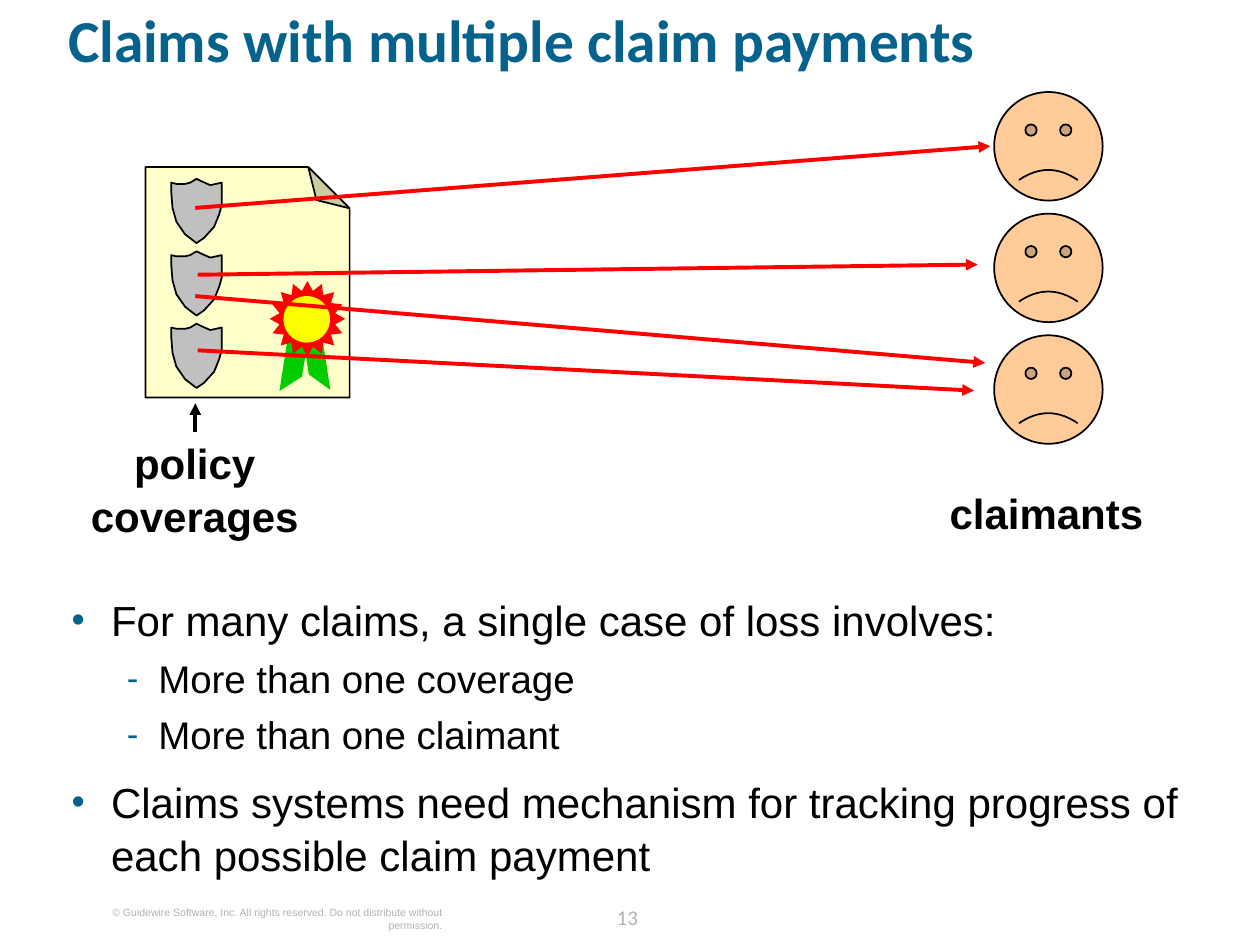
from lxml.etree import SubElement
from pptx import Presentation
from pptx.dml.color import RGBColor
from pptx.enum.shapes import MSO_CONNECTOR, MSO_SHAPE
from pptx.enum.text import PP_ALIGN
from pptx.oxml.ns import qn
from pptx.util import Pt

BLUE = RGBColor(0x04, 0x62, 0x8C)
BLACK = RGBColor(0, 0, 0)
RED = RGBColor(0xFF, 0, 0)
GREEN = RGBColor(0, 0xCC, 0)
YELLOW = RGBColor(0xFF, 0xFF, 0)
PAPER = RGBColor(0xFF, 0xFF, 0xCC)
SHIELD_GRAY = RGBColor(0xC0, 0xC0, 0xC0)
SKIN = RGBColor(0xFF, 0xCC, 0x99)
FOOTER_GRAY = RGBColor(0xB2, 0xB2, 0xB2)

TITLE = "Claims with multiple claim payments"
BULLETS = [  # level, text
    (0, "For many claims, a single case of loss involves:"),
    (1, "More than one coverage"),
    (1, "More than one claimant"),
    (0, "Claims systems need mechanism for tracking progress of each possible claim payment"),
]
LEVELS = [  # character, left margin, hanging indent, size, space before
    ("•", 22.5, 22.5, 24, 9.6),
    ("-", 49.5, 18, 22, 4.4),
]
LABELS = [  # text, left, top, height
    ("policy\vcoverages", 49, 248.4, 57.6),
    ("claimants", 535.7, 277.2, 28.8),
]
COPYRIGHT = ("© Guidewire Software, Inc. All rights reserved. "
             "Do not distribute without permission.")
PAGE_NUMBER = "13"

ROWS = 3
SHIELD_LEFT, SHIELD_TOP, SHIELD_PITCH = 97.9, 102.2, 41.4
SHIELD_OUTLINE = [  # tenths of a point
    (144, 367), (79, 317), (29, 245), (7, 166), (0, 79), (0, 22),
    (29, 29), (79, 29), (108, 22), (144, 0), (173, 14), (223, 36),
    (288, 22), (288, 151), (274, 202), (245, 274), (187, 338),
]
FACE_LEFT, FACE_TOP, FACE_PITCH, FACE_SIZE = 568.1, 52.6, 69.5, 62
ARROWS = [  # start, end, colour
    ((111.6, 118.8), (565.9, 83.5), RED),
    ((113, 157), (558.7, 151.2), RED),
    ((111.6, 169.2), (563, 207.4), RED),
    ((113, 200.2), (556.6, 223.2), RED),
    ((111.6, 247), (111.6, 230.4), BLACK),
]

presentation = Presentation()
presentation.slide_width, presentation.slide_height = Pt(720), Pt(540)
slide = presentation.slides.add_slide(presentation.slide_layouts[6])
shapes = slide.shapes


def paint(shape, fill, outlined):
    shape.shadow.inherit = False
    shape.fill.solid()
    shape.fill.fore_color.rgb = fill
    if outlined:
        shape.line.color.rgb = BLACK
        shape.line.width = Pt(1)
    else:
        shape.line.fill.background()


def set_adjustment(shape, percent):
    """Set the only adjustment, also for presets that list none in python-pptx."""
    geometry = shape._element.spPr.find(qn("a:prstGeom"))
    for values in geometry.findall(qn("a:avLst")):
        geometry.remove(values)
    values = SubElement(geometry, qn("a:avLst"))
    SubElement(values, qn("a:gd"), name="adj", fmla=f"val {round(percent * 1000)}")


def add_preset(kind, box, fill, outlined=False, adjustment=None, rotation=0):
    shape = shapes.add_shape(kind, *map(Pt, box))
    paint(shape, fill, outlined)
    if adjustment is not None:
        set_adjustment(shape, adjustment)
    shape.rotation = rotation
    return shape


def add_frame(left, top, width, height):
    """Add a wrapping text box without insets and return its text frame."""
    frame = shapes.add_textbox(Pt(left), Pt(top), Pt(width), Pt(height)).text_frame
    frame.word_wrap = True
    frame.margin_left = frame.margin_top = frame.margin_right = frame.margin_bottom = 0
    return frame


def style(paragraph, size, color, name="Arial", bold=False, align=None, spacing=None):
    paragraph.alignment = align
    paragraph.line_spacing = spacing
    for run in paragraph.runs:
        run.font.name = name
        run.font.size = Pt(size)
        run.font.bold = bold
        run.font.color.rgb = color


def add_text(text, box, *args, **kwargs):
    frame = add_frame(*box)
    frame.text = text
    style(frame.paragraphs[0], *args, **kwargs)


def add_bullet(paragraph, character, margin, hanging):
    properties = paragraph._p.get_or_add_pPr()
    properties.set("marL", str(Pt(margin)))
    properties.set("indent", str(-Pt(hanging)))
    color = SubElement(properties, qn("a:buClr"))
    SubElement(color, qn("a:srgbClr"), val=str(BLUE))
    SubElement(properties, qn("a:buSzPct"), val="90000")
    SubElement(properties, qn("a:buFont"), typeface="Arial")
    SubElement(properties, qn("a:buChar"), char=character)


def add_arrow(start, end, color):
    arrow = shapes.add_connector(MSO_CONNECTOR.STRAIGHT, *map(Pt, start + end))
    arrow.line.color.rgb = color
    arrow.line.width = Pt(2.25)
    SubElement(arrow.line._get_or_add_ln(), qn("a:tailEnd"), type="triangle")
    SubElement(arrow._element.spPr, qn("a:effectLst"))


# Policy document with shields and award ribbon
add_preset(MSO_SHAPE.FOLDED_CORNER, (75.6, 103, 131.8, 116.6), PAPER, True, 20.3, 270)
for row in range(ROWS):
    builder = shapes.build_freeform(*SHIELD_OUTLINE[0], scale=Pt(0.1))
    builder.add_line_segments(SHIELD_OUTLINE[1:], close=True)
    shield = builder.convert_to_shape(Pt(SHIELD_LEFT), Pt(SHIELD_TOP + row * SHIELD_PITCH))
    paint(shield, SHIELD_GRAY, True)
left_tail = add_preset(MSO_SHAPE.PARALLELOGRAM, (148.3, 198.7, 40.3, 11.5), GREEN,
                       adjustment=88.2, rotation=278.9)
left_tail._element.spPr.find(qn("a:xfrm")).set("flipH", "1")
add_preset(MSO_SHAPE.PARALLELOGRAM, (159.8, 198, 41, 10.8), GREEN,
           adjustment=97.9, rotation=81.1)
add_preset(MSO_SHAPE.STAR_16_POINT, (154.1, 160.6, 43.2, 43.2), RED, adjustment=37.5)
add_preset(MSO_SHAPE.OVAL, (162, 169.2, 26.6, 26.6), YELLOW)

# Claimants and links
for row in range(ROWS):
    face_box = (FACE_LEFT, FACE_TOP + row * FACE_PITCH, FACE_SIZE, FACE_SIZE)
    add_preset(MSO_SHAPE.SMILEY_FACE, face_box, SKIN, True, -4.65)
for arrow_ends in ARROWS:
    add_arrow(*arrow_ends)
for text, left, top, height in LABELS:
    add_text(text, (left, top, 124.6, height), 24, BLACK, bold=True,
             align=PP_ALIGN.CENTER, spacing=1.05)

# Title, bullets and footer
add_text(TITLE, (38.9, 9.4, 655.2, 58.3), 34, BLUE, "Calibri", True, spacing=0.8)
body = add_frame(41, 338.4, 655.2, 164.9)
for index, (level, text) in enumerate(BULLETS):
    character, margin, hanging, size, space = LEVELS[level]
    paragraph = body.add_paragraph() if index else body.paragraphs[0]
    paragraph.text = text
    paragraph.level = level
    style(paragraph, size, BLACK, spacing=1.05)
    if index:
        paragraph.space_before = Pt(space)
    add_bullet(paragraph, character, margin, hanging)
add_text(COPYRIGHT, (43.9, 517.7, 208.8, 14.4), 6, FOOTER_GRAY, align=PP_ALIGN.RIGHT)
add_text(PAGE_NUMBER, (338, 513.4, 41, 18), 12, FOOTER_GRAY, "Calibri",
         align=PP_ALIGN.CENTER, spacing=Pt(18))

presentation.save("out.pptx")
